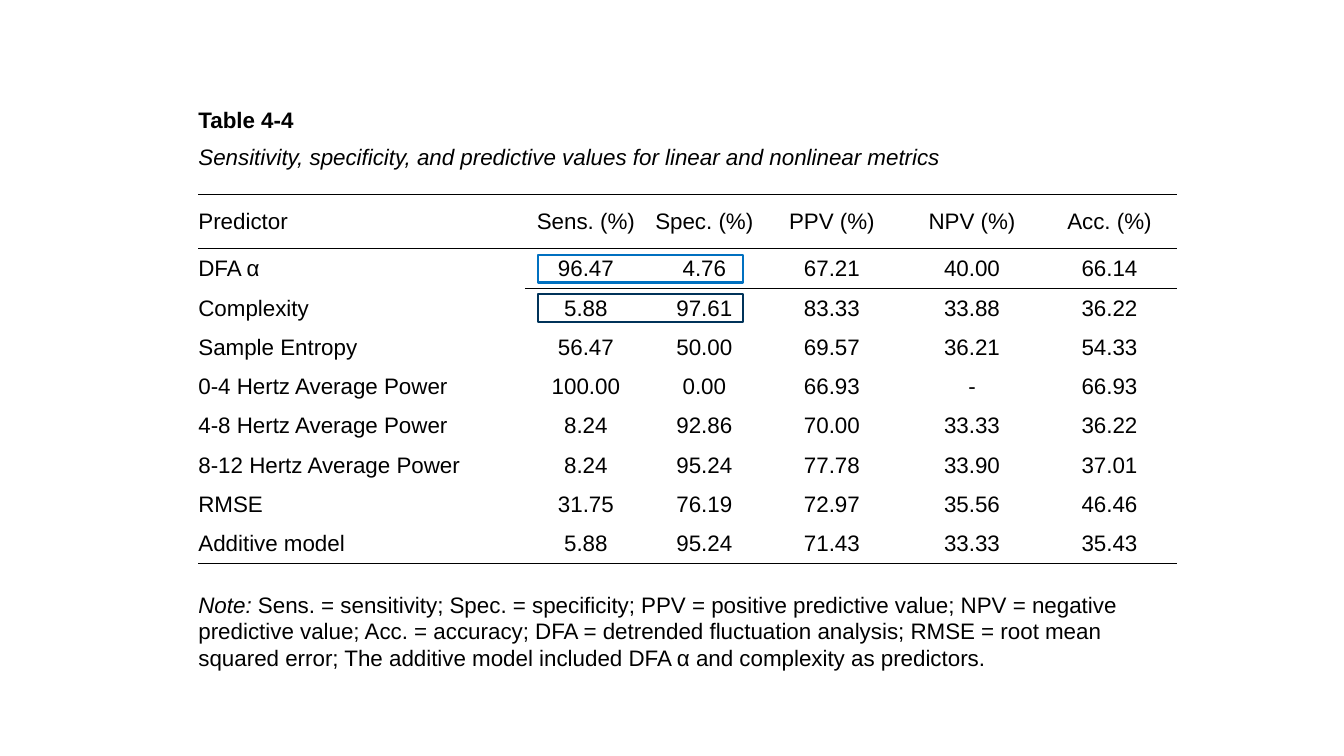
import pptx
import pptx.util
import pptx.dml.color
import pptx.enum.shapes
import pptx.enum.text
import pptx.oxml
import pptx.oxml.ns
from pptx.util import Cm

COLORS = {"ink": "000000", "dfa": "0070C0", "complexity": "003359"}
NO_GRID_STYLE = "{2D5ABB26-0587-4C30-8999-92F81FD0307C}"
COLUMN_WIDTHS = [8.23, 3.07, 2.9, 3.53, 3.53, 3.4]
CAPTION_HEIGHT, HEADER_HEIGHT, METRIC_HEIGHT, NOTE_HEIGHT = 2.21, 1.37, 0.99, 3.45

HEADINGS = ["Predictor", "Sens. (%)", "Spec. (%)", "PPV (%)", "NPV (%)", "Acc. (%)"]
METRICS = [
    ["DFA α", "96.47", "4.76", "67.21", "40.00", "66.14"],
    ["Complexity", "5.88", "97.61", "83.33", "33.88", "36.22"],
    ["Sample Entropy", "56.47", "50.00", "69.57", "36.21", "54.33"],
    ["0-4 Hertz Average Power", "100.00", "0.00", "66.93", "-", "66.93"],
    ["4-8 Hertz Average Power", "8.24", "92.86", "70.00", "33.33", "36.22"],
    ["8-12 Hertz Average Power", "8.24", "95.24", "77.78", "33.90", "37.01"],
    ["RMSE", "31.75", "76.19", "72.97", "35.56", "46.46"],
    ["Additive model", "5.88", "95.24", "71.43", "33.33", "35.43"],
]
CAPTION = "Sensitivity, specificity, and predictive values for linear and nonlinear metrics"
NOTE = (
    " Sens. = sensitivity; Spec. = specificity; PPV = positive predictive value; "
    "NPV = negative predictive value; Acc. = accuracy; DFA = detrended fluctuation "
    "analysis; RMSE = root mean squared error; The additive model included DFA α "
    "and complexity as predictors."
)


def rgb(name):
    return pptx.dml.color.RGBColor.from_string(COLORS[name])


def add_run(paragraph, text, bold=False, italic=False):
    run = paragraph.add_run()
    run.text = text
    run.font.name = "Arial"
    run.font.size = pptx.util.Pt(16)
    run.font.bold = bold
    run.font.italic = italic
    run.font.color.rgb = rgb("ink")


def format_paragraph(paragraph, align, space_after=0):
    paragraph.alignment = align
    paragraph.line_spacing = 1.05
    paragraph.space_after = pptx.util.Pt(space_after)


def add_rule(cell, edge):
    rule = pptx.oxml.parse_xml(
        f'<a:{edge} {pptx.oxml.ns.nsdecls("a")} w="12700"><a:solidFill>'
        f'<a:srgbClr val="{COLORS["ink"]}"/></a:solidFill></a:{edge}>'
    )
    cell._tc.get_or_add_tcPr().insert(0, rule)


def rule_below(table, row, first_column=0):
    for column in range(first_column, len(HEADINGS)):
        add_rule(table.cell(row, column), "lnB")
        add_rule(table.cell(row + 1, column), "lnT")


def add_metrics_table(slide, left, top):
    heights = [CAPTION_HEIGHT, HEADER_HEIGHT, *[METRIC_HEIGHT] * len(METRICS), NOTE_HEIGHT]
    last = len(heights) - 1
    frame = slide.shapes.add_table(
        len(heights), len(HEADINGS),
        Cm(left), Cm(top), Cm(sum(COLUMN_WIDTHS)), Cm(sum(heights)),
    )
    table = frame.table
    table.first_row = table.horz_banding = False
    table._tbl.tblPr.find(pptx.oxml.ns.qn("a:tableStyleId")).text = NO_GRID_STYLE
    for column, width in zip(table.columns, COLUMN_WIDTHS):
        column.width = Cm(width)
    for row, height in zip(table.rows, heights):
        row.height = Cm(height)
    for cell in table.iter_cells():
        cell.margin_left = cell.margin_right = cell.margin_top = cell.margin_bottom = 0
        cell.vertical_anchor = pptx.enum.text.MSO_ANCHOR.MIDDLE
        cell.fill.background()

    align = pptx.enum.text.PP_ALIGN
    for r, values in enumerate([HEADINGS, *METRICS], start=1):
        for c, value in enumerate(values):
            paragraph = table.cell(r, c).text_frame.paragraphs[0]
            format_paragraph(paragraph, align.CENTER if c else align.LEFT)
            add_run(paragraph, value)

    for row in (0, last):
        table.cell(row, 0).merge(table.cell(row, len(HEADINGS) - 1))
    caption = table.cell(0, 0)
    caption.vertical_anchor = pptx.enum.text.MSO_ANCHOR.TOP
    number = caption.text_frame.paragraphs[0]
    description = caption.text_frame.add_paragraph()
    for paragraph in (number, description):
        format_paragraph(paragraph, align.JUSTIFY, 8)
    add_run(number, "Table 4‑4", bold=True)
    add_run(description, CAPTION, italic=True)

    note = table.cell(last, 0).text_frame.paragraphs[0]
    format_paragraph(note, align.LEFT)
    add_run(note, "Note:", italic=True)
    add_run(note, NOTE)

    rule_below(table, 0)
    rule_below(table, 1, first_column=1)
    rule_below(table, last - 1)


def add_highlights(slide, left, top):
    for i, name in enumerate(["dfa", "complexity"]):
        highlight = slide.shapes.add_shape(
            pptx.enum.shapes.MSO_SHAPE.RECTANGLE,
            Cm(left + 0.33), Cm(top + 0.16 + i * METRIC_HEIGHT), Cm(5.16), Cm(0.69),
        )
        highlight.shadow.inherit = False
        highlight.fill.background()
        highlight.line.color.rgb = rgb(name)
        highlight.line.width = pptx.util.Pt(1.5)


def main():
    presentation = pptx.Presentation()
    presentation.slide_width = Cm(33.87)
    presentation.slide_height = Cm(19.05)
    slide = presentation.slides.add_slide(presentation.slide_layouts[6])
    left, top = 5, 2.69
    add_metrics_table(slide, left, top)
    add_highlights(slide, left + COLUMN_WIDTHS[0], top + CAPTION_HEIGHT + HEADER_HEIGHT)
    presentation.save("out.pptx")


if __name__ == "__main__":
    main()
